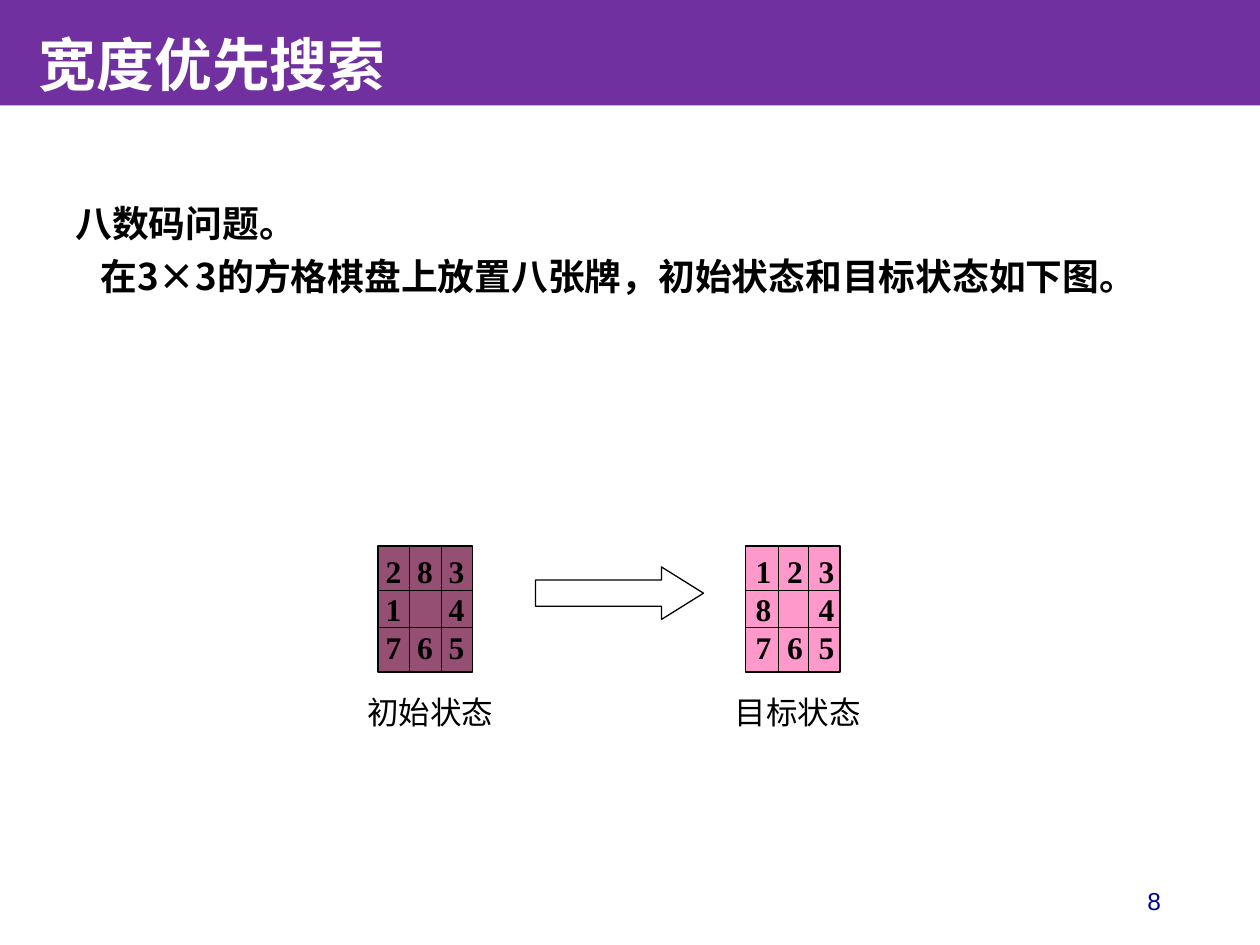
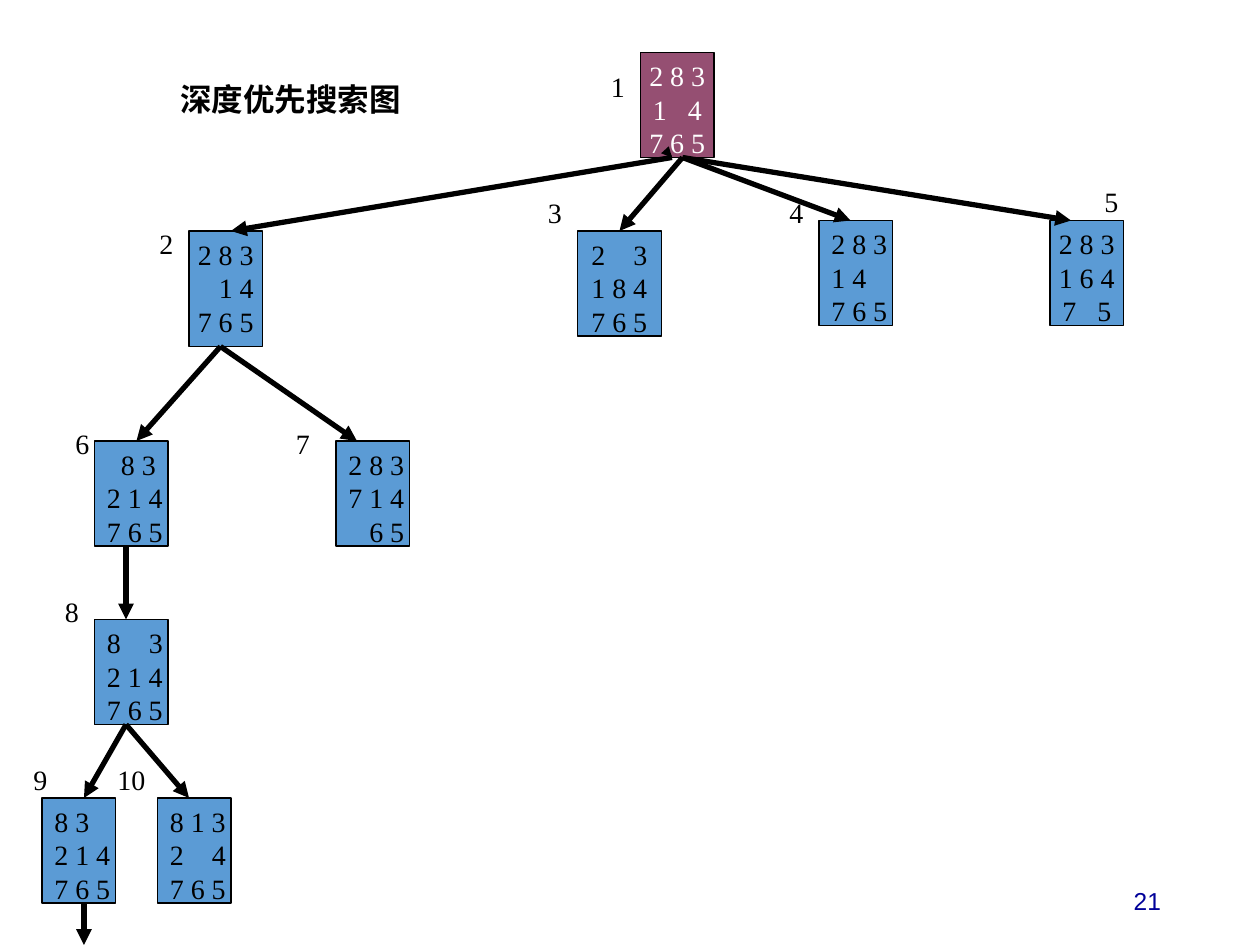
from dataclasses import dataclass
from typing import NamedTuple, Optional

from lxml.etree import SubElement
from pptx import Presentation
from pptx.dml.color import RGBColor
from pptx.enum.shapes import MSO_CONNECTOR as Wire, MSO_SHAPE as Kind
from pptx.enum.text import MSO_ANCHOR as Anchor, PP_ALIGN as Align
from pptx.oxml.ns import qn
from pptx.util import Inches, Pt

COLS, ROWS = 120, 90
WIDE, HIGH = Inches(10), Inches(7.5)

BLACK = RGBColor(0x00, 0x00, 0x00)
WHITE = RGBColor(0xFF, 0xFF, 0xFF)
VIOLET = RGBColor(0x70, 0x30, 0xA0)
PLUM = RGBColor(0x95, 0x4F, 0x72)
PINK = RGBColor(0xFF, 0x99, 0xCC)
BLUE = RGBColor(0x5B, 0x9B, 0xD5)
NAVY = RGBColor(0x00, 0x00, 0x99)

SERIF, SANS, HAN = "Times New Roman", "Arial", "Noto Sans CJK SC"


class Box(NamedTuple):
    col: float
    row: float
    wide: float
    high: float


class Line(NamedTuple):
    col: float
    row: float
    to_col: float
    to_row: float


class Style(NamedTuple):
    size: float
    color: RGBColor = BLACK
    bold: bool = False
    face: str = SERIF


class Pad(NamedTuple):
    left: float = 0.1
    top: float = 0.05
    right: float = 0.1
    base: float = 0.05


class Row(NamedTuple):
    text: str
    stops: list[float]


@dataclass
class Board:
    box: Box
    tiles: str
    fill: RGBColor
    style: Style
    left: float
    pitch: float
    gap: str = " "
    shift: float = 0


@dataclass
class Node:
    label: str
    spot: tuple[float, float]
    box: Box
    tiles: str
    left: float = 0.1
    shift: float = 0
    room: float = 4
    fill: RGBColor = BLUE
    ink: RGBColor = BLACK


class Goal(NamedTuple):
    board: Board
    cuts: tuple[float, float]
    name: str


TITLE = Style(33, WHITE, True)
BODY = Style(21, bold=True, face=HAN)
NAME = Style(18)
HEAD = Style(18, bold=True)
TILE = Style(16)
FOOT = Style(14, NAVY, face=SANS)

BARE = Pad(0, 0, 0, 0)
MID = 0.07

GOALS = [
    Goal(Board(Box(36, 52, 9, 12), "283 1_4 765", PLUM, HEAD, 0.06, 18, "\t"),
         (3, 6), "初始状态"),
    Goal(Board(Box(71, 52, 9, 12), "123 8_4 765", PINK, HEAD, 0.08, 18, "\t"),
         (3.15, 6), "目标状态"),
]

NODES = [
    Node("1", (57, 6), Box(61, 5, 7, 10), "283 1_4 765", MID, 2, fill=PLUM, ink=WHITE),
    Node("2", (14, 21), Box(18, 22, 7, 11), "283 _14 765", MID),
    Node("3", (51, 18), Box(55, 22, 8, 10), "2_3 184 765", 0.11),
    Node("4", (74, 18), Box(78, 21, 7, 10), "283 14_ 765"),
    Node("5", (104, 17), Box(100, 21, 7, 10), "283 164 7_5", MID, 2),
    Node("6", (6, 40), Box(9, 42, 7, 10), "_83 214 765", shift=-4),
    Node("7", (27, 40), Box(32, 42, 7, 10), "283 714 _65"),
    Node("8", (5, 56), Box(9, 59, 7, 10), "8_3 214 765", room=5),
    Node("9", (2, 72), Box(4, 76, 7, 10), "83_ 214 765", room=5),
    Node("10", (10, 72), Box(15, 76, 7, 10), "813 2_4 765", room=7),
]

EDGES = [
    Line(64, 15, 22, 22),
    Line(65, 15, 59, 22),
    Line(65, 15, 81, 21),
    Line(65, 15, 102, 21),
    Line(21, 33, 13, 42),
    Line(21, 33, 34, 42),
    Line(12, 52, 12, 59),
    Line(12, 69, 8, 76),
    Line(12, 69, 18, 76),
    Line(8, 86, 8, 90),
]


def across(col: float) -> int:
    return round(WIDE * col / COLS)


def down(row: float) -> int:
    return round(HIGH * row / ROWS)


def place(box: Box) -> tuple[int, int, int, int]:
    return across(box.col), down(box.row), across(box.wide), down(box.high)


def write(shape, text: str, style: Style, pad: Pad = Pad(),
          align=Align.LEFT, anchor=Anchor.TOP):
    frame = shape.text_frame
    frame.word_wrap = True
    frame.vertical_anchor = anchor
    frame.margin_left, frame.margin_top, frame.margin_right, frame.margin_bottom = map(Inches, pad)
    frame.text = text
    for para in frame.paragraphs:
        para.alignment = align
        for run in para.runs:
            font = run.font
            font.size, font.bold, font.name = Pt(style.size), style.bold, style.face
            font.color.rgb = style.color
            SubElement(run._r.get_or_add_rPr(), qn("a:ea"), typeface=HAN)
    return frame


def add_text(slide, box: Box, text: str, style: Style, **more):
    return write(slide.shapes.add_textbox(*place(box)), text, style, **more)


def add_form(slide, kind, box: Box, fill: Optional[RGBColor] = None, edge: bool = True):
    shape = slide.shapes.add_shape(kind, *place(box))
    shape.shadow.inherit = False
    if fill is None:
        shape.fill.background()
    else:
        shape.fill.solid()
        shape.fill.fore_color.rgb = fill
    if edge:
        shape.line.color.rgb = BLACK
        shape.line.width = Pt(0.75)
    else:
        shape.line.fill.background()
    return shape


def add_line(slide, line: Line, width: float, head: bool = False) -> None:
    wire = slide.shapes.add_connector(
        Wire.STRAIGHT, across(line.col), down(line.row),
        across(line.to_col), down(line.to_row))
    wire.line.color.rgb = BLACK
    wire.line.width = Pt(width)
    if head:
        SubElement(wire.line._get_or_add_ln(), qn("a:tailEnd"), type="triangle")
    SubElement(wire._element.spPr, qn("a:effectLst"))


def lay_row(board: Board, tiles: str) -> Row:
    pitch, shift = board.pitch, board.shift
    hole = tiles.find("_")
    if hole == 0:
        return Row("\t" + board.gap.join(tiles[1:]), [pitch + shift])
    if hole == 1:
        lead = "\t" if shift else ""
        stops = [shift] if shift else []
        return Row(f"{lead}{tiles[0]}\t{tiles[2]}", stops + [2 * pitch - shift])
    return Row(board.gap.join(tiles.rstrip("_")), [pitch, 2 * pitch])


def add_board(slide, board: Board) -> None:
    rows = [lay_row(board, tiles) for tiles in board.tiles.split()]
    shape = add_form(slide, Kind.FLOWCHART_PROCESS, board.box, board.fill)
    frame = write(shape, "\n".join(row.text for row in rows), board.style,
                  Pad(left=board.left, right=0))
    for para, row in zip(frame.paragraphs, rows):
        if "\t" in row.text:
            tabs = SubElement(para._p.get_or_add_pPr(), qn("a:tabLst"))
            for stop in row.stops:
                SubElement(tabs, qn("a:tab"), pos=str(Pt(stop)), algn="l")


def add_page(deck, number: int):
    slide = deck.slides.add_slide(deck.slide_layouts[6])
    add_text(slide, Box(84.75, 83.4, 27, 4.8), str(number), FOOT,
             align=Align.RIGHT, anchor=Anchor.MIDDLE)
    return slide


def add_goal(slide, goal: Goal) -> None:
    board = goal.board
    col, row, wide, high = board.box
    add_board(slide, board)
    for cut in (4.2, 7.75):
        add_line(slide, Line(col, row + cut, col + wide, row + cut), 0.5)
    for cut in goal.cuts:
        add_line(slide, Line(col + cut, row, col + cut, row + high), 0.5)
    add_text(slide, Box(col - 1, row + 14, 13, 3.6), goal.name, NAME, pad=BARE)


def draw_puzzle(deck) -> None:
    slide = add_page(deck, 8)
    bar = add_form(slide, Kind.RECTANGLE, Box(0, 0, COLS, 10.05), VIOLET, edge=False)
    title = write(bar, "宽度优先搜索", TITLE, Pad(left=0.31), anchor=Anchor.BOTTOM)
    title.paragraphs[0].line_spacing = 0.9
    body = add_text(slide, Box(6, 19, 108, 22.4),
                    "八数码问题。\n在3×3的方格棋盘上放置八张牌，初始状态和目标状态如下图。", BODY)
    for para in body.paragraphs:
        para.line_spacing = 0.9
    last = body.paragraphs[-1]
    last.space_before = Pt(7.5)
    last._p.get_or_add_pPr().set("marL", str(Inches(0.2)))
    for goal in GOALS:
        add_goal(slide, goal)
    arrow = add_form(slide, Kind.RIGHT_ARROW, Box(51, 54, 16, 5))
    arrow.adjustments[0], arrow.adjustments[1] = 0.5, 0.8


def draw_tree(deck) -> None:
    slide = add_page(deck, 21)
    for node in NODES:
        style = TILE._replace(color=node.ink)
        add_board(slide, Board(node.box, node.tiles, node.fill, style,
                               node.left, 12, shift=node.shift))
        add_text(slide, Box(*node.spot, node.room, 4.4), node.label, TILE)
    for edge in EDGES:
        add_line(slide, edge, 3, head=True)
    add_line(slide, Line(63.95, 14.95, 64, 15), 0.75, head=True)
    add_text(slide, Box(16, 7, 26, 4.8), "深度优先搜索图", HEAD)


def main() -> None:
    deck = Presentation()
    deck.slide_width, deck.slide_height = WIDE, HIGH
    draw_puzzle(deck)
    draw_tree(deck)
    deck.save("out.pptx")


if __name__ == "__main__":
    main()
